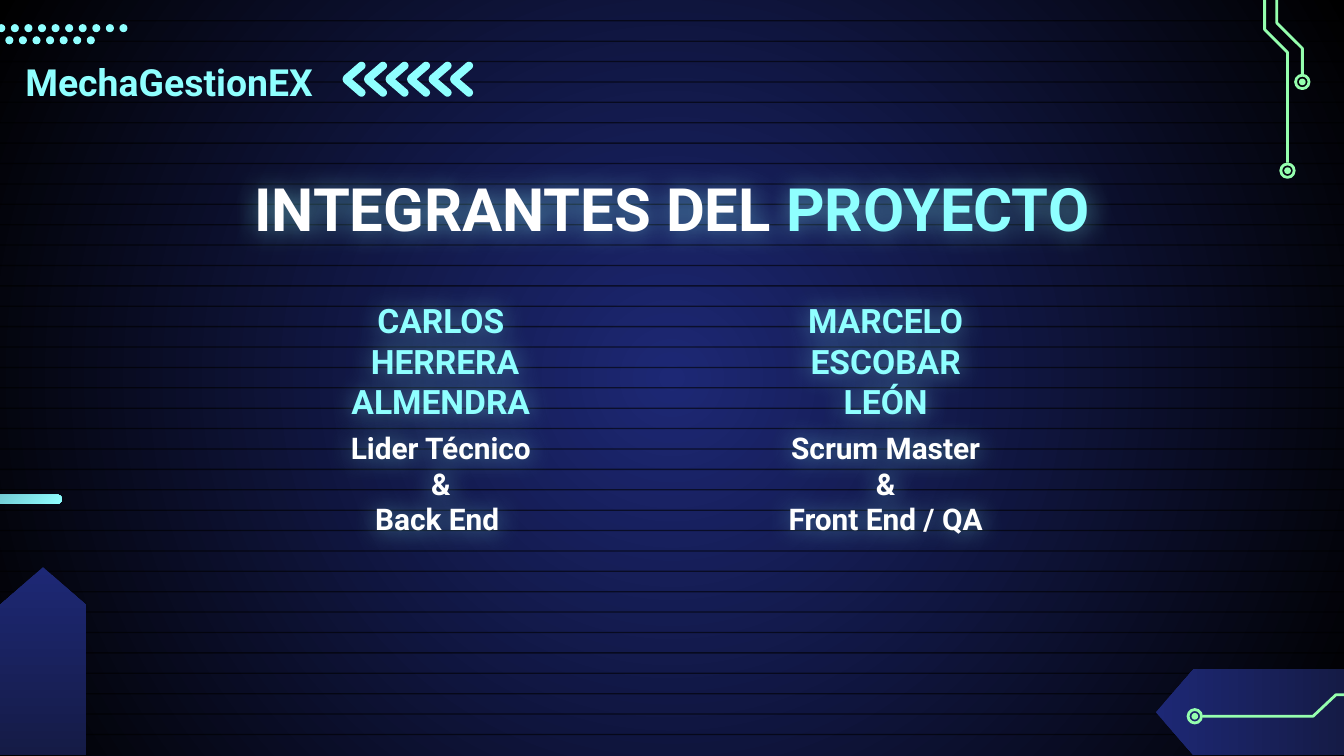
from math import cos, radians, sin

from lxml import etree
from pptx import Presentation
from pptx.dml.color import RGBColor
from pptx.enum.shapes import MSO_SHAPE as Shape
from pptx.enum.text import MSO_ANCHOR as Anchor, MSO_AUTO_SIZE as AutoSize, PP_ALIGN as Align
from pptx.oxml import parse_xml
from pptx.oxml.ns import nsdecls, qn
from pptx.util import Inches, Pt

COLORS = {"navy": "1D2875", "dark": "151B46", "black": "000000",
          "cyan": "8FFFFF", "green": "95FFAE", "white": "FFFFFF"}
FONT = "Roboto"
WIDTH = 10
HEIGHT = WIDTH * 9 / 16


def rgb(color):
    return RGBColor.from_string(COLORS[color])


def fill_gradient(fill, start, end, angle=0):
    fill.gradient()
    fill.gradient_angle = angle
    for stop, color in zip(fill.gradient_stops, (start, end)):
        stop.color.rgb = rgb(color)


def paint(shape, fill=None, line=None):
    """Give a shape a plain fill, an outline, both or neither."""
    shape.shadow.inherit = False
    if fill:
        shape.fill.solid()
        shape.fill.fore_color.rgb = rgb(fill)
    else:
        shape.fill.background()
    if line:
        shape.line.color.rgb = rgb(line)
        shape.line.width = Pt(1.5)
    else:
        shape.line.fill.background()
    return shape


def add_preset(slide, kind, box, fill=None, line=None):
    shape = slide.shapes.add_shape(kind, *map(Inches, box))
    return paint(shape, fill, line)


def add_outline(slide, points, close, fill=None, line=None):
    first, *rest = [(Inches(x), Inches(y)) for x, y in points]
    builder = slide.shapes.build_freeform(*first)
    builder.add_line_segments(rest, close=close)
    return paint(builder.convert_to_shape(), fill, line)


def add_glow(shape):
    """A soft cyan halo behind the text."""
    shape.element.spPr.append(parse_xml(
        f'<a:effectLst {nsdecls("a")}><a:outerShdw blurRad="171450" rotWithShape="0">'
        f'<a:srgbClr val="{COLORS["cyan"]}"><a:alpha val="50000"/></a:srgbClr>'
        '</a:outerShdw></a:effectLst>'))


def write_text(slide, lines, box, size, holder=None, color="cyan", align=Align.CENTER, glow=True):
    """Write lines; a line is a string or a list of (text, color) runs."""
    area = holder or slide.shapes.add_textbox(0, 0, 0, 0)
    area.left, area.top, area.width, area.height = map(Inches, box)
    frame = area.text_frame
    frame.word_wrap = True
    frame.auto_size = AutoSize.NONE
    frame.vertical_anchor = Anchor.MIDDLE
    frame.margin_left = frame.margin_right = Inches(0.1)
    frame.margin_top = frame.margin_bottom = Inches(0.1)
    for i, line in enumerate(lines):
        paragraph = frame.add_paragraph() if i else frame.paragraphs[0]
        paragraph.alignment = align
        for text, run_color in [(line, color)] if isinstance(line, str) else line:
            run = paragraph.add_run()
            run.text = text
            run.font.name = FONT
            run.font.size = Pt(size)
            run.font.bold = True
            run.font.color.rgb = rgb(run_color)
    if glow:
        add_glow(area)


def draw_backdrop(slide):
    # Radial gradient
    fill_gradient(slide.background.fill, "navy", "black")
    linear = next(slide.element.iter(qn("a:lin")))
    linear.getparent().replace(linear, parse_xml(
        f'<a:path {nsdecls("a")} path="circle">'
        '<a:fillToRect l="50000" t="50000" r="50000" b="50000"/></a:path>'))

    # Evenly spaced scan lines
    count, top, bottom = 36, 0.15, 5.46
    for i in range(count):
        y = top + i * (bottom - top) / (count - 1)
        stripe = add_preset(slide, Shape.RECTANGLE, (0, y, WIDTH, 0.01), "black")
        color = next(stripe.element.spPr.iter(qn("a:srgbClr")))
        etree.SubElement(color, qn("a:alpha"), val="59000")


def draw_circuit(slide, track, node):
    """A track that ends in a ringed node centred at the given point."""
    add_outline(slide, track, False, line="green")
    x, y = node
    for size, style in ((0.1, {"line": "green"}), (0.05, {"fill": "green"})):
        add_preset(slide, Shape.OVAL, (x - size / 2, y - size / 2, size, size), **style)


def draw_pennant(slide, box, rotation):
    pennant = add_preset(slide, Shape.FLOWCHART_OFFPAGE_CONNECTOR, box)
    fill_gradient(pennant.fill, "navy", "dark", 90)
    pennant.rotation = rotation


def draw_dots(slide, left, top, count):
    for i in range(count):
        add_preset(slide, Shape.OVAL, (left + 0.101 * i, top, 0.06, 0.06), "cyan")


def draw_decor(slide):
    # Circuits and pennants
    draw_circuit(slide, [(9.41, -0.68), (9.41, 0.22), (9.58, 0.39), (9.58, 1.21)], (9.58, 1.27))
    draw_circuit(slide, [(9.5, -0.68), (9.5, 0.17), (9.69, 0.36), (9.69, 0.56)], (9.69, 0.61))
    draw_pennant(slide, (8.98, 4.6, 0.64, 1.4), 90)
    draw_circuit(slide, [(10.84, 5.17), (9.94, 5.17), (9.77, 5.33), (8.95, 5.33)], (8.89, 5.33))

    # Dots, left bar and left pennant
    draw_dots(slide, 0.04, 0.27, 7)
    draw_dots(slide, -0.02, 0.18, 10)
    bar = add_preset(slide, Shape.ROUNDED_RECTANGLE, (-1.72, 3.68, 2.18, 0.07))
    bar.adjustments[0] = 0.5
    fill_gradient(bar.fill, "dark", "cyan", 315)
    draw_pennant(slide, (0, 4.22, 0.64, 1.4), 180)


def arc(x, y, radius, start, end):
    return [(x + radius * cos(radians(a)), y + radius * sin(radians(a)))
            for a in range(start, end + 1, 15)]


def draw_chevron(slide, left, top):
    points = (arc(0.14, 0.03, 0.03, 225, 405) + [(0.07, 0.13)]
              + arc(0.14, 0.23, 0.03, 315, 495) + arc(0.04, 0.13, 0.04, 135, 225))
    add_outline(slide, [(left + x, top + y) for x, y in points], True, "cyan")


def draw_header(slide):
    for i in range(6):
        draw_chevron(slide, 2.55 + 0.16 * i, 0.46)
    write_text(slide, ["MechaGestionEX"], (0.09, -0.49, 2.42, 2.19), 20,
               align=Align.LEFT, glow=False)


def draw_title(slide):
    title = slide.shapes.title
    slide.shapes.element.append(title.element)  # bring in front of the backdrop
    write_text(slide, [[("INTEGRANTES DEL ", "white"), ("PROYECTO", "cyan")]],
               (0.78, 1.23, 8.44, 0.63), 32, holder=title)


def draw_member(slide, left, top, name, role):
    write_text(slide, name, (left, top, 2.42, 0.97), 18)
    write_text(slide, role, (left + 0.15, top + 1.08, 2.12, 0.63), 16, color="white")


def main():
    deck = Presentation()
    deck.slide_width, deck.slide_height = Inches(WIDTH), Inches(HEIGHT)
    slide = deck.slides.add_slide(deck.slide_layouts.get_by_name("Title Only"))
    draw_backdrop(slide)
    draw_decor(slide)
    draw_header(slide)
    draw_title(slide)
    draw_member(slide, 2.07, 2.2, ["CARLOS", " HERRERA", "ALMENDRA"],
                ["Lider Técnico", "&", "Back End "])
    draw_member(slide, 5.38, 2.2, ["MARCELO", "ESCOBAR", "LEÓN"],
                ["Scrum Master", "&", "Front End / QA"])
    deck.save("out.pptx")


if __name__ == "__main__":
    main()
